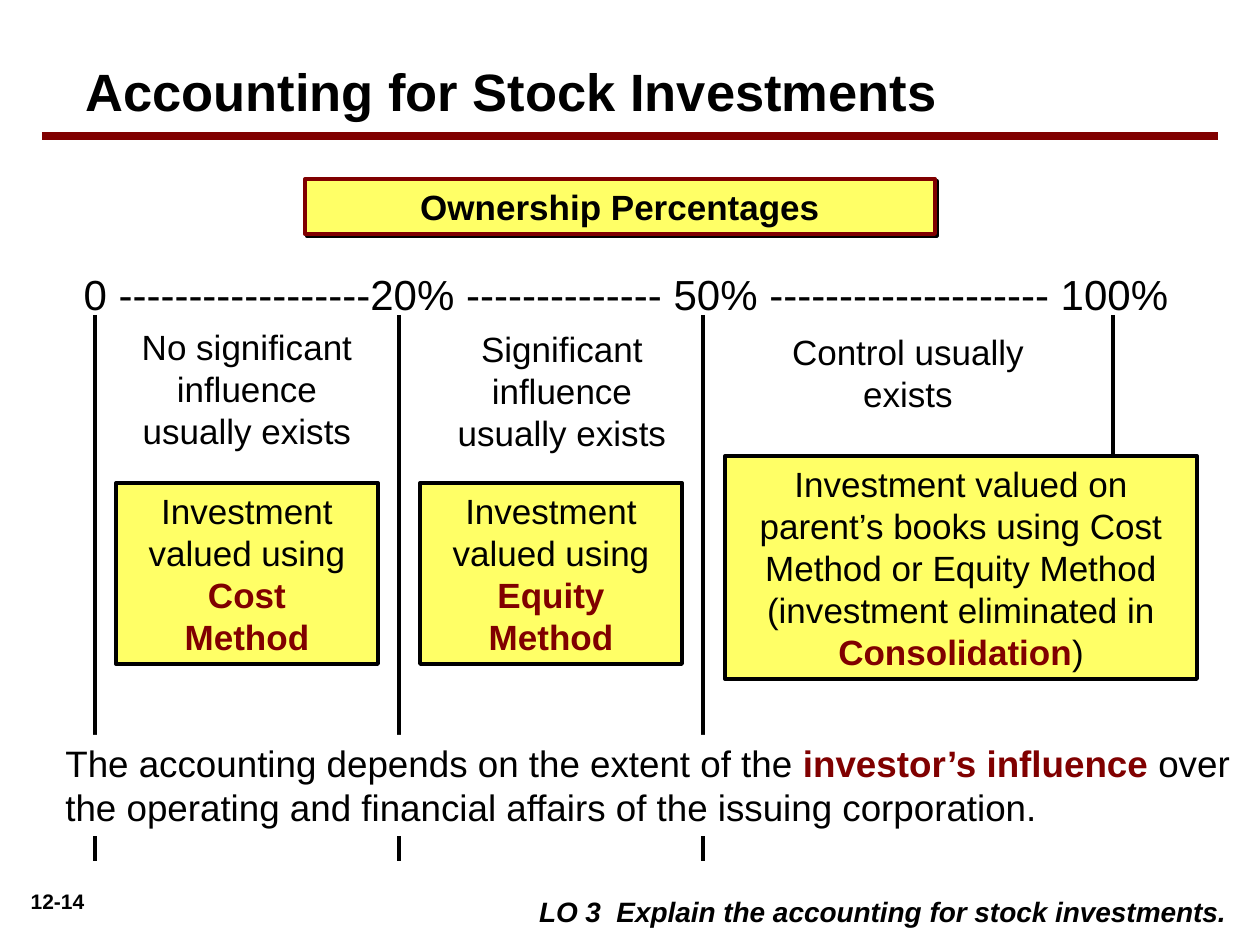
from pptx import Presentation, util as u
from pptx.dml.color import RGBColor
from pptx.enum import shapes, text
from pptx.oxml.ns import qn
from lxml import etree

PX = 914400 // 126
BLACK = RGBColor(0x00, 0x00, 0x00)
MAROON = RGBColor(0x80, 0x00, 0x00)
YELLOW = RGBColor(0xFF, 0xFF, 0x66)
WHITE = RGBColor(0xFF, 0xFF, 0xFF)
LEFT, CENTER, RIGHT = text.PP_ALIGN.LEFT, text.PP_ALIGN.CENTER, text.PP_ALIGN.RIGHT

# Content: a run is (text, emphasised); "\n" is a line break
TITLE = "Accounting for Stock Investments"
SCALE = "0 ------------------20% -------------- 50% -------------------- 100%"
HEADING = "Ownership Percentages"
MARKS = [(95, 861), (399, 861), (703, 861), (1113, 640)]  # x, bottom
INFLUENCE = [
    ("No significant influence usually exists", (116, 319, 262, 139)),
    ("Significant influence usually exists", (431, 321, 262, 139)),
    ("Control usually exists", (777, 324, 262, 97)),
]
METHODS = [
    ([("Investment valued using ", False), ("Cost\nMethod", True)],
     (116, 483, 262, 181)),
    ([("Investment valued using ", False), ("Equity\nMethod", True)],
     (420, 483, 262, 181)),
    ([("Investment valued on parent’s books using Cost Method or Equity Method "
       "(investment eliminated in ", False), ("Consolidation", True), (")", False)],
     (725, 456, 472, 223)),
]
SUMMARY = [
    ("The accounting depends on the extent of the ", False),
    ("investor’s influence", True),
    (" over the operating and financial affairs of the issuing corporation.", False),
]
OBJECTIVE = "LO 3  Explain the accounting for stock investments."
PAGE = "12-14"


def write(sp, content, size=20, align=CENTER, bold=False, italic=False):
    """Fill a shape with one paragraph; emphasised runs are bold maroon."""
    tf = sp.text_frame
    tf.word_wrap = True
    tf.auto_size = text.MSO_AUTO_SIZE.NONE
    tf.vertical_anchor = text.MSO_ANCHOR.TOP
    p = tf.paragraphs[0]
    p.alignment = align
    p.space_before = u.Pt(0)
    runs = [(content, False)] if isinstance(content, str) else content
    for words, strong in runs:
        for i, line in enumerate(words.split("\n")):
            if i:
                p.add_line_break()
            r = p.add_run()
            r.text = line
            r.font.name, r.font.size = "Arial", u.Pt(size)
            r.font.bold, r.font.italic = bold or strong, italic
            r.font.color.rgb = MAROON if strong else BLACK


def place(sp, box):
    sp.left, sp.top, sp.width, sp.height = (v * PX for v in box)


def add_label(slide, box, content, **fmt):
    sp = slide.shapes.add_textbox(*(v * PX for v in box))
    write(sp, content, **fmt)


def add_box(slide, box, content, fill=YELLOW, line=None, **fmt):
    sp = slide.shapes.add_shape(shapes.MSO_SHAPE.RECTANGLE, *(v * PX for v in box))
    sp.fill.solid()
    sp.fill.fore_color.rgb = fill
    if line is None:
        sp.line.fill.background()
    else:
        sp.line.color.rgb = line
        sp.line.width = u.Pt(2.25)
    sp.shadow.inherit = False
    write(sp, content, **fmt)
    return sp


def add_line(slide, x1, y1, x2, y2, color=BLACK, width=2.25):
    ln = slide.shapes.add_connector(
        shapes.MSO_CONNECTOR.STRAIGHT, *(v * PX for v in (x1, y1, x2, y2)))
    ln.line.color.rgb = color
    ln.line.width = u.Pt(width)
    etree.SubElement(ln._element.spPr, qn("a:effectLst"))


def add_hard_shadow(sp):
    effects = sp._element.spPr.find(qn("a:effectLst"))
    shadow = etree.SubElement(effects, qn("a:outerShdw"), blurRad="0",
                              dist=str(u.Pt(1.4)), dir="2700000", algn="ctr",
                              rotWithShape="0")
    etree.SubElement(shadow, qn("a:srgbClr"), val=str(BLACK))


def main():
    prs = Presentation()
    prs.slide_width, prs.slide_height = u.Inches(10), u.Inches(7.5)
    slide = prs.slides.add_slide(prs.slide_layouts[1])

    # Title and rule
    title, scale = slide.placeholders
    place(title, (73, 53, 1050, 77))
    write(title, TITLE, size=30, align=LEFT, bold=True)
    add_line(slide, 42, 136, 1218, 136, color=MAROON, width=4.5)

    # Percentage scale without a bullet
    place(scale, (71, 262, 1114, 76))
    pPr = scale.text_frame.paragraphs[0]._p.get_or_add_pPr()
    pPr.set("marL", "0")
    pPr.set("indent", "0")
    etree.SubElement(pPr, qn("a:buNone"))
    write(scale, SCALE, size=24, align=LEFT)

    # Marks under the scale
    for x, bottom in MARKS:
        add_line(slide, x, 315, x, bottom)

    # Influence levels and accounting methods
    for words, box in INFLUENCE:
        add_label(slide, box, words)
    for runs, box in METHODS:
        add_box(slide, box, runs, line=BLACK)

    # Heading, summary and footer
    heading = add_box(slide, (305, 179, 630, 55), HEADING, line=MAROON, bold=True)
    add_hard_shadow(heading)
    add_box(slide, (262, 888, 977, 47), OBJECTIVE, fill=WHITE, size=16,
            align=RIGHT, bold=True, italic=True)
    add_box(slide, (53, 735, 1197, 101), SUMMARY, fill=WHITE, size=21, align=LEFT)
    add_label(slide, (10, 882, 95, 38), PAGE, size=12, bold=True)

    prs.save("out.pptx")


if __name__ == "__main__":
    main()
